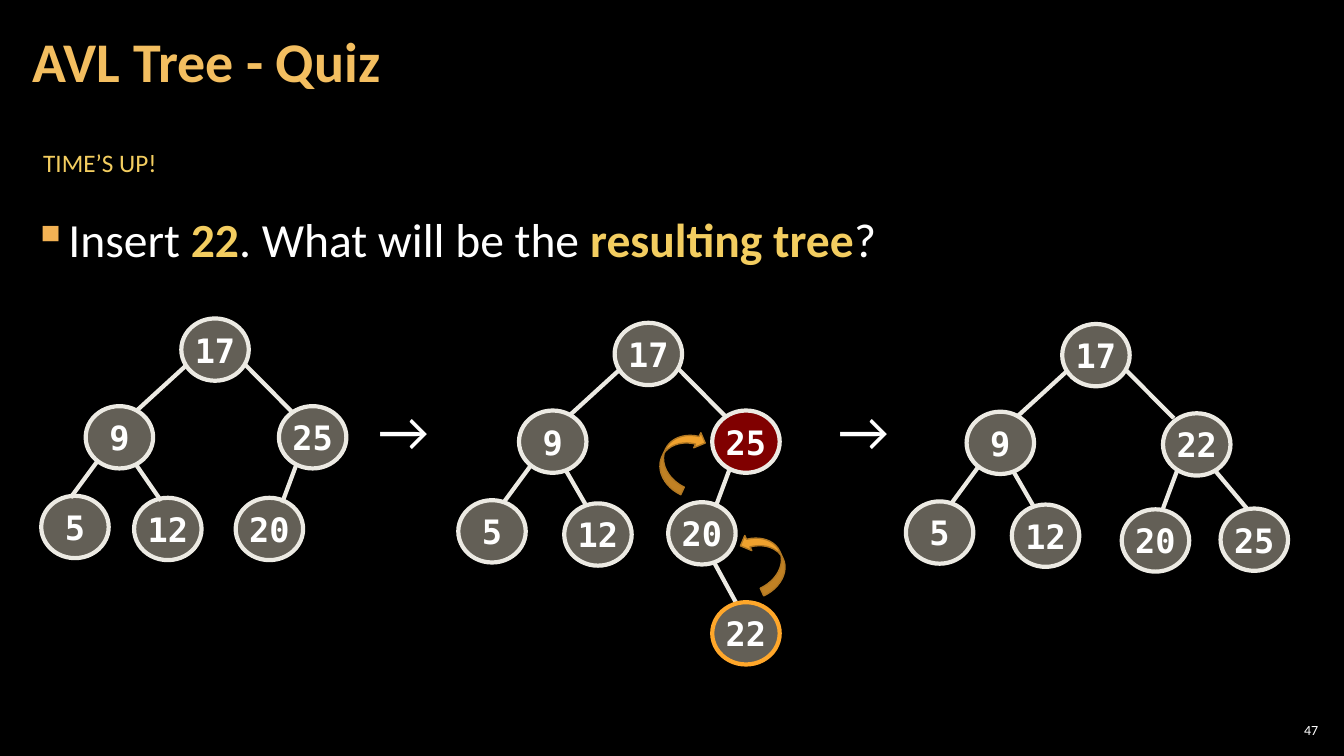
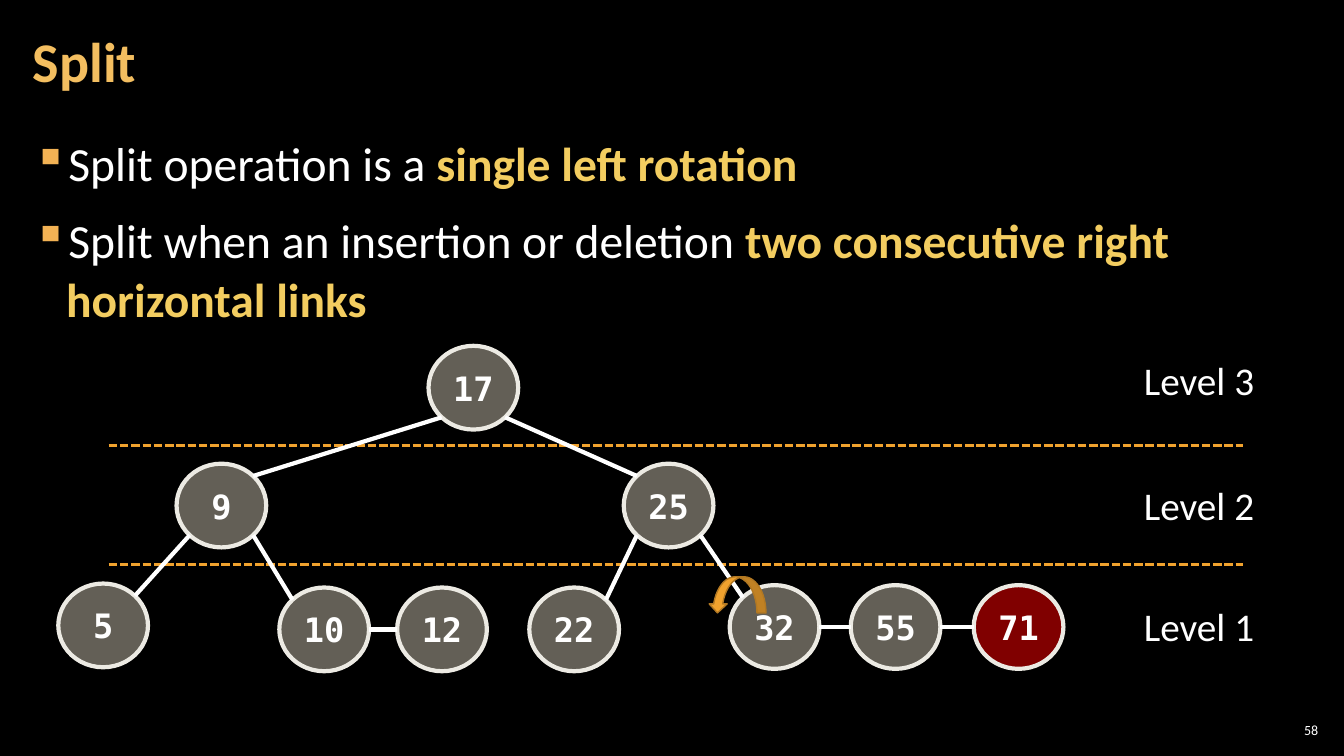
from math import sqrt

from lxml import etree
from pptx import Presentation
from pptx.dml.color import RGBColor
from pptx.enum.dml import MSO_LINE
from pptx.enum.shapes import MSO_CONNECTOR, MSO_SHAPE
from pptx.enum.text import MSO_ANCHOR, PP_ALIGN
from pptx.oxml.ns import qn
from pptx.util import Cm, Pt

ELLIPSE = MSO_SHAPE.OVAL
CURVED_UP = MSO_SHAPE.CURVED_UP_ARROW
CURVED_DOWN = MSO_SHAPE.CURVED_DOWN_ARROW
STRAIGHT = MSO_CONNECTOR.STRAIGHT
DASHED = MSO_LINE.SQUARE_DOT
TOP, MIDDLE = MSO_ANCHOR.TOP, MSO_ANCHOR.MIDDLE
LEFT, CENTER, RIGHT = PP_ALIGN.LEFT, PP_ALIGN.CENTER, PP_ALIGN.RIGHT

BODY_FONT, KEY_FONT = "Calibri", "DejaVu Sans Mono"
BLACK, WHITE = "000000", "FFFFFF"
TITLE_GOLD, ACCENT, BULLET = "F3BE60", "F3CD60", "F2B254"
STONE, RED, IVORY = "C7BFAC", "FF0000", "ECEAE3"
ORANGE, BROWN, NEW_RING = "F0A22E", "B27822", "FFA72A"

SMALL_NODE = (1.7, 1.57)
LARGE_NODE = (2.26, 2.11)
BODY_BOTTOM = 18.67

SHARED_EDGES = [
    ((-0.72, 0.39), (-1.99, 1.55)),
    ((0.75, 0.37), (1.96, 1.59)),
    ((2.04, 2.92), (1.69, 3.86)),
    ((-2.97, 2.82), (-3.64, 3.73)),
]
QUIZ_TREES = [
    {
        "root": (5.42, 8.81),
        "nodes": {"17": (0, 0), "9": (-2.41, 2.21), "25": (2.46, 2.21),
                  "5": (-3.53, 4.47), "12": (-1.19, 4.52), "20": (1.37, 4.52)},
        "edges": [((-1.99, 2.9), (-1.36, 3.81))],
    },
    {
        "root": (16.34, 8.92),
        "nodes": {"17": (0, 0), "9": (-2.41, 2.21), "25": (2.46, 2.21),
                  "5": (-3.94, 4.47), "12": (-1.27, 4.55), "20": (1.35, 4.52),
                  "22": (2.46, 7.04)},
        "edges": [((-2.07, 2.95), (-1.59, 3.78)), ((1.66, 5.26), (2.2, 6.25))],
        "fills": {"25": RED},
        "rings": {"22": NEW_RING},
    },
    {
        "root": (27.62, 8.95),
        "nodes": {"17": (0, 0), "9": (-2.41, 2.21), "22": (2.54, 2.25),
                  "5": (-3.94, 4.47), "12": (-1.27, 4.55), "20": (1.5, 4.67),
                  "25": (3.99, 4.65)},
        "edges": [((-2.07, 2.95), (-1.59, 3.78)), ((3.01, 2.92), (3.8, 3.86))],
    },
]

SPLIT_NODES = {
    "17": (11.93, 9.77), "9": (5.58, 12.74), "25": (16.85, 12.74),
    "5": (2.6, 15.76), "10": (8.17, 15.86), "12": (11.14, 15.86),
    "22": (14.47, 15.86), "32": (19.52, 15.8), "55": (22.57, 15.8),
    "71": (25.67, 15.8),
}
LEFT_CHILDREN = [("17", "9"), ("9", "5"), ("25", "22")]
RIGHT_CHILDREN = [("17", "25"), ("9", "10"), ("25", "32")]
SAME_LEVEL = [("10", "12"), ("32", "55"), ("55", "71")]
LEVEL_TOPS = {"Level 3": 8.84, "Level 2": 11.99, "Level 1": 15.04}


def rgb(color):
    """Turn a hex string into a colour."""
    return RGBColor.from_string(color)


def add_run(paragraph, text, size, color, bold=False, font=BODY_FONT):
    """Append one formatted run to a paragraph."""
    run = paragraph.add_run()
    run.text = text
    run.font.name = font
    run.font.size = Pt(size)
    run.font.bold = bold
    run.font.color.rgb = rgb(color)


def add_frame(slide, left, top, width, height, insets=(0.25, 0.13), anchor=TOP, wrap=True):
    """Add an empty text box and return its text frame."""
    frame = slide.shapes.add_textbox(Cm(left), Cm(top), Cm(width), Cm(height)).text_frame
    frame.margin_left = frame.margin_right = Cm(insets[0])
    frame.margin_top = frame.margin_bottom = Cm(insets[1])
    frame.vertical_anchor = anchor
    frame.word_wrap = wrap
    return frame


def add_label(slide, text, left, top, width, height, size, color=WHITE):
    """Add a single line of loose text."""
    frame = add_frame(slide, left, top, width, height, wrap=False)
    add_run(frame.paragraphs[0], text, size, color)


def add_bullets(slide, top, bullets):
    """Add the body text, each bullet a list of plain and emphasised parts."""
    frame = add_frame(slide, 0.53, top, 32.79, BODY_BOTTOM - top, (0.3, 0.1))
    for index, parts in enumerate(bullets):
        paragraph = frame.add_paragraph() if index else frame.paragraphs[0]
        paragraph.line_spacing = 1.05
        paragraph.space_before = paragraph.space_after = Pt(6)
        properties = paragraph._p.get_or_add_pPr()
        properties.set("marL", str(Cm(0.84)))
        properties.set("indent", str(-Cm(0.84)))
        bullet_color = etree.SubElement(properties, qn("a:buClr"))
        etree.SubElement(bullet_color, qn("a:srgbClr"), val=BULLET)
        etree.SubElement(properties, qn("a:buChar"), char="▪")
        for text, emphasised in parts:
            add_run(paragraph, text, 34, ACCENT if emphasised else WHITE, emphasised)


def add_content_slide(deck, title, number):
    """Add a slide with its title and slide number."""
    slide = deck.slides.add_slide(deck.slide_layouts[6])
    heading = add_frame(slide, 0.53, 0.1, 26.59, 3.07, (0.3, 0.1), MIDDLE).paragraphs[0]
    heading.line_spacing = 0.9
    add_run(heading, title, 40, TITLE_GOLD, True)
    footer = add_frame(slide, 32.13, 18.14, 1.19, 0.53, (0.1, 0.1), MIDDLE).paragraphs[0]
    footer.alignment = RIGHT
    add_run(footer, number, 10, WHITE)
    return slide


def add_link(slide, start, end, color, width=3, dash=None):
    """Draw a straight line between two points."""
    link = slide.shapes.add_connector(STRAIGHT, *(Cm(value) for value in (*start, *end)))
    link.line.color.rgb = rgb(color)
    link.line.width = Pt(width)
    if dash:
        link.line.dash_style = dash
    etree.SubElement(link.element.spPr, qn("a:effectLst"))


def add_centred_shape(slide, kind, center, size, fill, outline, weight):
    """Add a filled, outlined shape around a centre point."""
    (x, y), (width, height) = center, size
    shape = slide.shapes.add_shape(
        kind, Cm(x - width / 2), Cm(y - height / 2), Cm(width), Cm(height))
    shape.shadow.inherit = False
    shape.fill.solid()
    shape.fill.fore_color.rgb = rgb(fill)
    shape.line.color.rgb = rgb(outline)
    shape.line.width = Pt(weight)
    return shape


def add_node(slide, key, center, size, fill=STONE, ring=IVORY):
    """Add a half-transparent tree node with its key."""
    node = add_centred_shape(slide, ELLIPSE, center, size, fill, ring, 3)
    tint = node.element.spPr.find(qn("a:solidFill")).find(qn("a:srgbClr"))
    etree.SubElement(tint, qn("a:alpha"), val="50000")
    frame = node.text_frame
    frame.word_wrap = False
    frame.vertical_anchor = MIDDLE
    frame.paragraphs[0].alignment = CENTER
    add_run(frame.paragraphs[0], key, 24, WHITE, True, KEY_FONT)


def add_rotation_arrow(slide, kind, center, size, angle=0, mirrored=False):
    """Add a curved arrow that marks a rotation."""
    arrow = add_centred_shape(slide, kind, center, size, ORANGE, BROWN, 1)
    arrow.rotation = angle
    if mirrored:
        arrow.element.spPr.find(qn("a:xfrm")).set("flipH", "1")


def shifted(point, offset):
    """Move a point by an offset."""
    return point[0] + offset[0], point[1] + offset[1]


def add_quiz_tree(slide, root, nodes, edges, fills=None, rings=None):
    """Draw a tree whose parts are placed relative to its root."""
    for start, end in SHARED_EDGES + edges:
        add_link(slide, shifted(root, start), shifted(root, end), IVORY)
    for key, offset in nodes.items():
        add_node(slide, key, shifted(root, offset), SMALL_NODE,
                 (fills or {}).get(key, STONE), (rings or {}).get(key, IVORY))


def rim(key, across, down):
    """Find a point on a split node's rim, by fractions of its radii."""
    return shifted(SPLIT_NODES[key], (across * LARGE_NODE[0] / 2, down * LARGE_NODE[1] / 2))


def add_split_tree(slide):
    """Draw the levelled tree with its horizontal links."""
    for key, center in SPLIT_NODES.items():
        add_node(slide, key, center, LARGE_NODE, RED if key == "71" else STONE)
    diagonal = 1 / sqrt(2)
    for pairs, across, down in ((LEFT_CHILDREN, -diagonal, diagonal),
                                (RIGHT_CHILDREN, diagonal, diagonal),
                                (SAME_LEVEL, 1, 0)):
        for first, second in pairs:
            add_link(slide, rim(first, across, down), rim(second, -across, -down), WHITE)


def build_quiz(deck):
    """Build the insertion quiz slide."""
    slide = add_content_slide(deck, "AVL Tree - Quiz", "47")
    add_label(slide, "TIME’S UP!", 0.84, 3.58, 3.4, 1.02, 18, ACCENT)
    add_bullets(slide, 5.13, [[("Insert ", False), ("22", True),
                               (". What will be the ", False),
                               ("resulting tree", True), ("?", False)]])
    for left in (9.3, 20.88):
        add_label(slide, "→", left, 9.83, 1.91, 1.96, 40)
    for tree in QUIZ_TREES:
        add_quiz_tree(slide, **tree)
    add_rotation_arrow(slide, CURVED_UP, (19.29, 14.11), (1.6, 0.84), 245)
    add_rotation_arrow(slide, CURVED_DOWN, (17.13, 11.54), (1.65, 0.84), 295.3)


def build_split(deck):
    """Build the split operation slide."""
    slide = add_content_slide(deck, "Split", "58")
    add_bullets(slide, 3.2, [
        [("Split operation is a ", False), ("single left rotation", True)],
        [("Split when an insertion or deletion ", False),
         ("two consecutive right horizontal links", True)],
    ])
    for height in (11.23, 14.22):
        add_link(slide, (2.74, height), (31.32, height), ORANGE, 2, DASHED)
    for level, top in LEVEL_TOPS.items():
        add_label(slide, level, 28.58, top, 3.33, 1.45, 28)
    add_split_tree(slide)
    add_rotation_arrow(slide, CURVED_DOWN, (18.58, 14.99), (1.45, 0.91), mirrored=True)


def main():
    """Build and save the deck."""
    deck = Presentation()
    deck.slide_width, deck.slide_height = Cm(33.87), Cm(19.05)
    backdrop = deck.slide_master.background.fill
    backdrop.solid()
    backdrop.fore_color.rgb = rgb(BLACK)
    build_quiz(deck)
    build_split(deck)
    deck.save("out.pptx")


if __name__ == "__main__":
    main()
